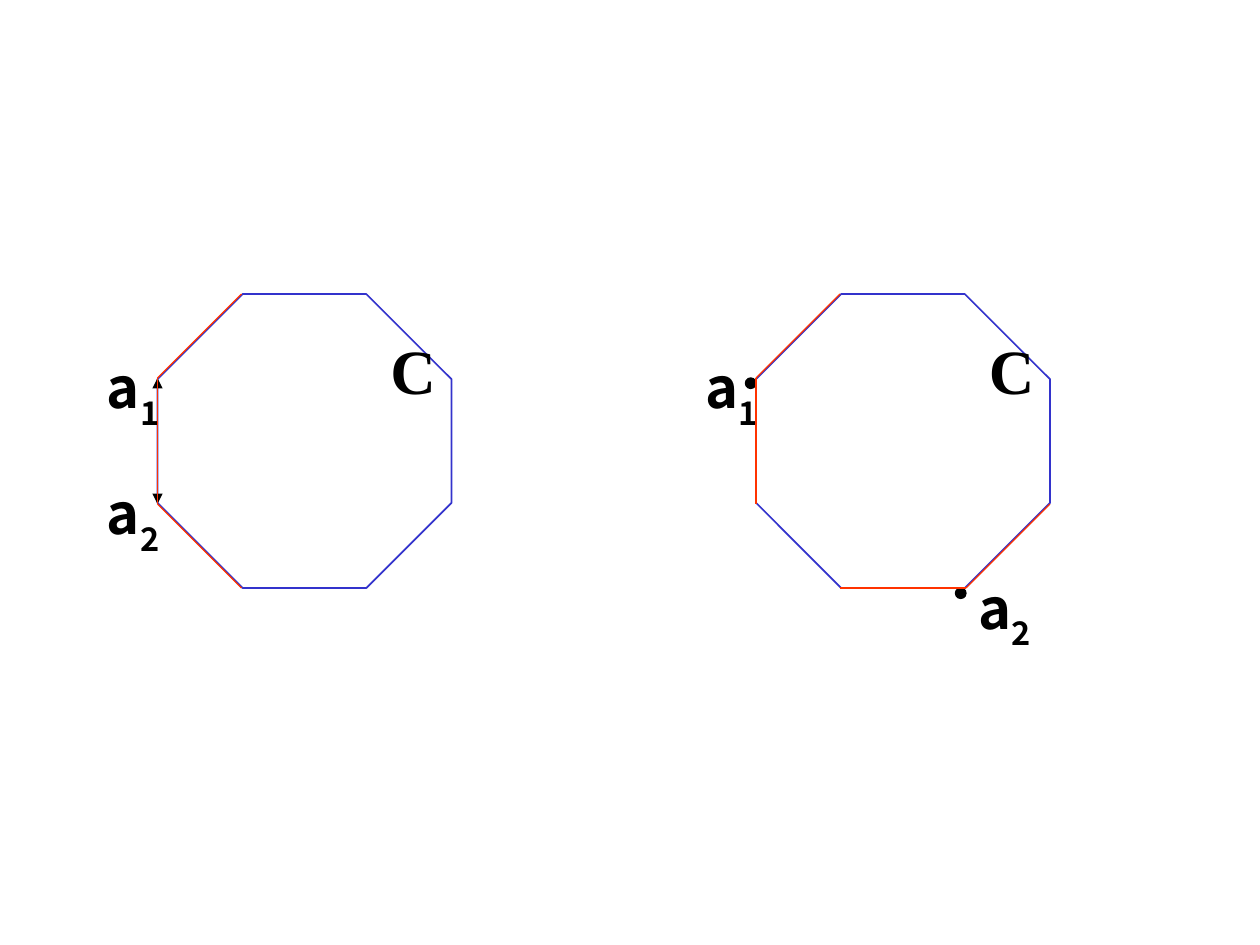
from dataclasses import dataclass

from lxml import etree
from pptx import Presentation
from pptx.dml.color import RGBColor
from pptx.enum.shapes import MSO_CONNECTOR, MSO_SHAPE
from pptx.enum.text import MSO_AUTO_SIZE
from pptx.oxml.ns import qn
from pptx.util import Emu, Pt

OCTAGON = MSO_SHAPE.OCTAGON
OVAL = MSO_SHAPE.OVAL
STRAIGHT = MSO_CONNECTOR.STRAIGHT
FIT_SHAPE = MSO_AUTO_SIZE.SHAPE_TO_FIT_TEXT
PX = 9525


@dataclass
class Theme:
    white: RGBColor = RGBColor(0xFF, 0xFF, 0xFF)
    black: RGBColor = RGBColor(0x00, 0x00, 0x00)
    blue: RGBColor = RGBColor(0x33, 0x33, 0xCC)
    red: RGBColor = RGBColor(0xFF, 0x33, 0x00)
    vertex_font: str = "Noto Sans CJK SC"
    cycle_font: str = "Times New Roman"
    vertex_size: int = 32
    cycle_size: int = 36
    outline: float = 1
    thin: float = 0.75


theme = Theme()
presentation = Presentation()
presentation.slide_width = Emu(960 * PX)
presentation.slide_height = Emu(720 * PX)
slide = presentation.slides.add_slide(presentation.slide_layouts[6])


def add_filled_shape(kind, box, fill, line, width):
    shape = slide.shapes.add_shape(kind, *[Emu(value * PX) for value in box])
    shape.shadow.inherit = False
    shape.fill.solid()
    shape.fill.fore_color.rgb = fill
    shape.line.color.rgb = line
    shape.line.width = Pt(width)
    return shape


def add_edge(start, end, color):
    edge = slide.shapes.add_connector(
        STRAIGHT, *[Emu(value * PX) for value in start + end]
    )
    edge.line.color.rgb = color
    edge.line.width = Pt(theme.thin)
    etree.SubElement(edge._element.spPr, qn("a:effectLst"))
    return edge


TOP, SIDE, CORNER = 224, 224, 64
LEFT_CYCLE, RIGHT_CYCLE = 120, 576
UPPER, LOWER, BOTTOM = TOP + CORNER, TOP + SIDE - CORNER, TOP + SIDE

for left in (LEFT_CYCLE, RIGHT_CYCLE):
    octagon = add_filled_shape(
        OCTAGON, (left, TOP, SIDE, SIDE), theme.white, theme.blue, theme.outline
    )
    octagon.adjustments[0] = 0.29

arrow = add_edge((LEFT_CYCLE, UPPER), (LEFT_CYCLE, LOWER), theme.black)
for end in ("a:headEnd", "a:tailEnd"):
    etree.SubElement(arrow.line._get_or_add_ln(), qn(end), type="triangle")

labels = [
    ("a", "1", LEFT_CYCLE - 48, 264, 64, 70),
    ("a", "2", LEFT_CYCLE - 48, 360, 72, 70),
    ("C", "", LEFT_CYCLE + 168, 248, 72, 67),
    ("a", "1", RIGHT_CYCLE - 48, 264, 64, 70),
    ("C", "", RIGHT_CYCLE + 168, 248, 72, 67),
    ("a", "2", RIGHT_CYCLE + 160, 432, 72, 70),
]
for letter, index, *box in labels:
    label = slide.shapes.add_textbox(*[Emu(value * PX) for value in box])
    label.text_frame.word_wrap = True
    label.text_frame.auto_size = FIT_SHAPE
    label.text_frame.text = letter
    paragraph = label.text_frame.paragraphs[0]
    if index:
        subscript = paragraph.add_run()
        subscript.text = index
        subscript.font._element.set("baseline", "-30000")
    for run in paragraph.runs:
        run.font.name = theme.vertex_font if index else theme.cycle_font
        run.font.size = Pt(theme.vertex_size if index else theme.cycle_size)
        run.font.bold = True
        run.font.color.rgb = theme.black

for left, top in ((RIGHT_CYCLE - 8, UPPER), (RIGHT_CYCLE + 152, BOTTOM)):
    add_filled_shape(OVAL, (left, top, 8, 8), theme.black, theme.black, theme.thin)

for left in (LEFT_CYCLE, RIGHT_CYCLE):
    add_edge((left, UPPER), (left, LOWER), theme.red)
    add_edge((left, UPPER), (left + CORNER, TOP), theme.red)

bottom_left = (RIGHT_CYCLE + CORNER, BOTTOM)
bottom_right = (RIGHT_CYCLE + SIDE - CORNER, BOTTOM)
add_edge(bottom_left, bottom_right, theme.red)
add_edge(bottom_right, (RIGHT_CYCLE + SIDE, LOWER), theme.red)
add_edge((LEFT_CYCLE, LOWER), (LEFT_CYCLE + CORNER, BOTTOM), theme.red)

presentation.save("out.pptx")
